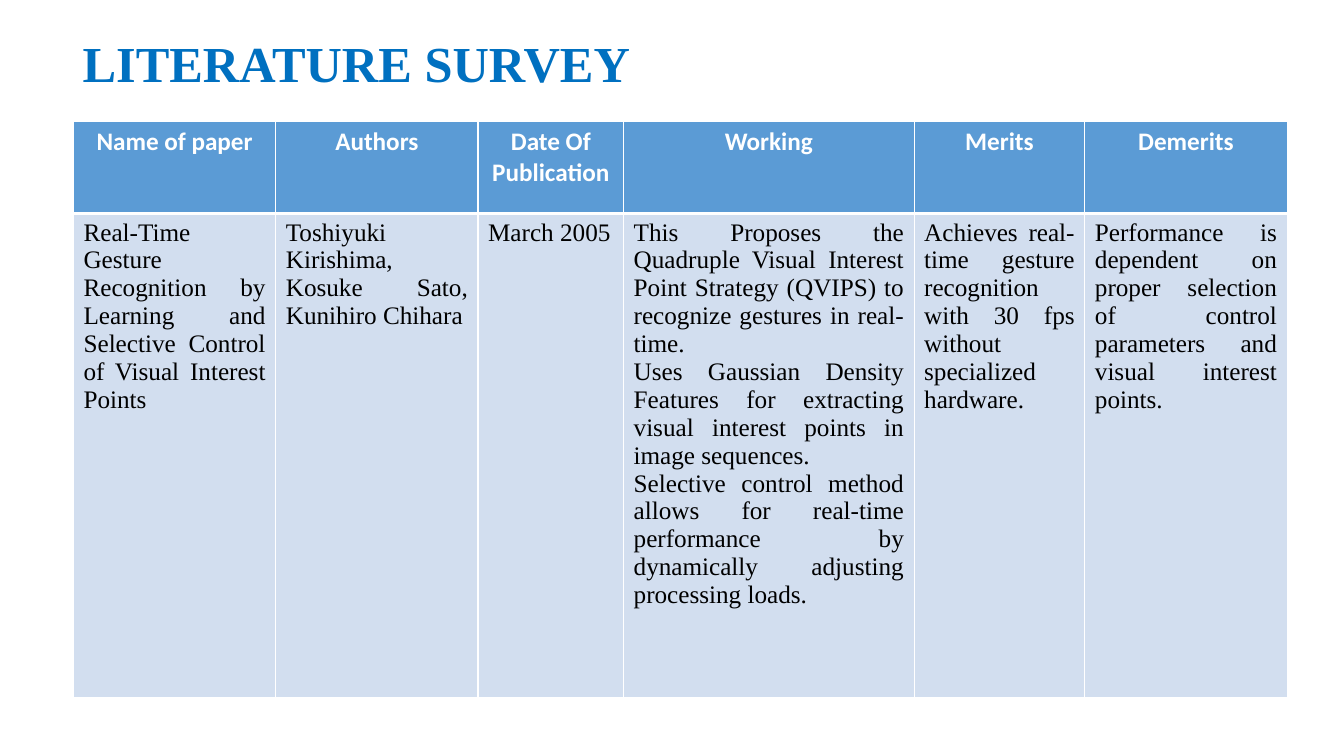
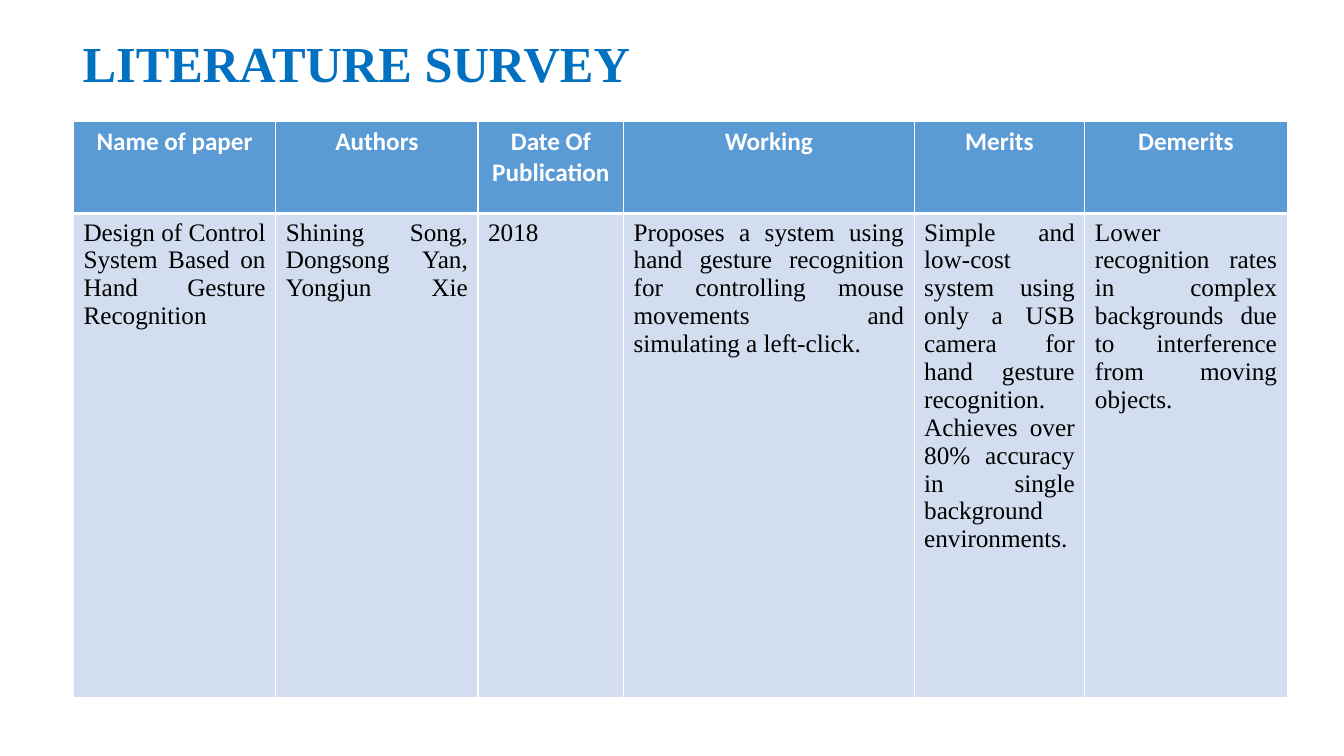
from lxml.etree import SubElement
from pptx import Presentation
from pptx.dml.color import RGBColor
from pptx.enum.text import MSO_ANCHOR as Anchor, PP_ALIGN as Align
from pptx.oxml.ns import qn
from pptx.util import Pt

# Shared look
TITLE_BLUE = "0070C0"
HEADER_BLUE = "5B9BD5"
BODY_BLUE = "D2DEEF"
WHITE = "FFFFFF"
BLACK = "000000"
SERIF = "Times New Roman"
SANS = "Calibri"

# Shared table layout, in points
LEFT = 52
TABLE_TOP = 87
COLUMN_WIDTHS = [144.5, 144.5, 104, 207.5, 122, 144.5]
ROW_HEIGHTS = [65.5, 345.5]
THIN, THICK = 1, 3

TITLE = "LITERATURE SURVEY"
HEADINGS = ["Name of paper", "Authors", "Date Of Publication",
            "Working", "Merits", "Demerits"]

# One paper per slide; a closing line break justifies the line before it
PAPERS = [
    [
        "Real-Time Gesture Recognition by Learning and Selective Control "
        "of Visual Interest Points",
        "Toshiyuki Kirishima, Kosuke Sato, Kunihiro Chihara",
        "March 2005",
        "This Proposes the Quadruple Visual Interest Point Strategy (QVIPS) "
        "to recognize gestures in real-time.\n"
        "Uses Gaussian Density Features for extracting visual interest "
        "points in image sequences.\n"
        "Selective control method allows for real-time performance by "
        "dynamically adjusting processing loads.",
        "Achieves real-time gesture recognition with 30 fps without "
        "specialized hardware.",
        "Performance is dependent on proper selection of control parameters "
        "and visual interest points.",
    ],
    [
        "Design of Control System Based on Hand Gesture Recognition",
        "Shining Song, Dongsong Yan, Yongjun Xie\v",
        "2018",
        "Proposes a system using hand gesture recognition for controlling "
        "mouse movements and simulating a left-click.",
        "Simple and low-cost system using only a USB camera for hand gesture "
        "recognition.\n"
        "Achieves over 80% accuracy in single background environments.",
        "Lower recognition rates in complex backgrounds due to interference "
        "from moving objects.",
    ],
]


def rgb(color):
    return RGBColor.from_string(color)


def write_text(text_frame, text, font, size, color, bold, align):
    text_frame.text = text
    for paragraph in text_frame.paragraphs:
        paragraph.alignment = align
        for run in paragraph.runs:
            run.font.name = font
            run.font.size = Pt(size)
            run.font.bold = bold
            run.font.color.rgb = rgb(color)


def add_title(slide, text):
    shape = slide.shapes.add_textbox(Pt(LEFT), Pt(-5), Pt(828), Pt(104.5))
    text_frame = shape.text_frame
    text_frame.word_wrap = True
    text_frame.vertical_anchor = Anchor.MIDDLE
    write_text(text_frame, text, SERIF, 36, TITLE_BLUE, True, Align.LEFT)
    text_frame.paragraphs[0].line_spacing = 0.9


def set_borders(cell, top, bottom):
    properties = cell._tc.get_or_add_tcPr()
    sides = {"L": THIN, "R": THIN, "T": top, "B": bottom}
    for side, width in sides.items():
        line = SubElement(properties, qn(f"a:ln{side}"), w=str(Pt(width)))
        fill = SubElement(line, qn("a:solidFill"))
        SubElement(fill, qn("a:srgbClr"), val=WHITE)


def fill_cell(cell, color):
    cell.fill.solid()
    cell.fill.fore_color.rgb = rgb(color)


def add_survey_table(slide, paper):
    frame = slide.shapes.add_table(
        len(ROW_HEIGHTS), len(COLUMN_WIDTHS), Pt(LEFT + 0.5), Pt(TABLE_TOP),
        Pt(sum(COLUMN_WIDTHS)), Pt(sum(ROW_HEIGHTS)))
    table = frame.table
    for column, width in zip(table.columns, COLUMN_WIDTHS):
        column.width = Pt(width)
    for row, height in zip(table.rows, ROW_HEIGHTS):
        row.height = Pt(height)

    for index, (heading, detail) in enumerate(zip(HEADINGS, paper)):
        header, body = table.cell(0, index), table.cell(1, index)
        set_borders(header, THIN, THICK)
        set_borders(body, THICK, THIN)
        fill_cell(header, HEADER_BLUE)
        fill_cell(body, BODY_BLUE)
        write_text(header.text_frame, heading, SANS, 18, WHITE, True,
                   Align.CENTER)
        write_text(body.text_frame, detail, SERIF, 18, BLACK, False,
                   Align.JUSTIFY)


def main():
    presentation = Presentation()
    presentation.slide_width = Pt(960)
    presentation.slide_height = Pt(540)
    blank = presentation.slide_layouts[6]
    for paper in PAPERS:
        slide = presentation.slides.add_slide(blank)
        add_title(slide, TITLE)
        add_survey_table(slide, paper)
    presentation.save("out.pptx")


if __name__ == "__main__":
    main()
